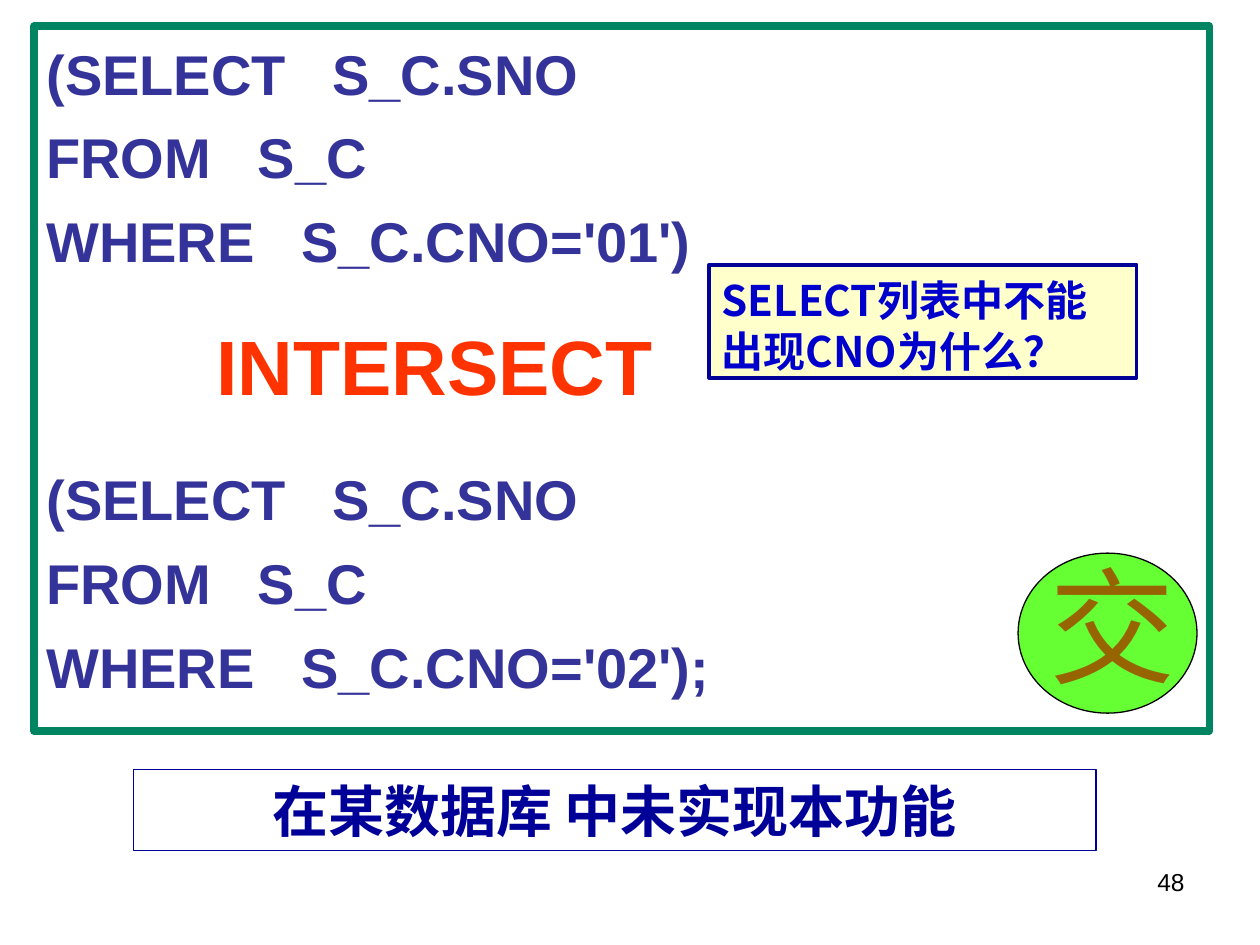
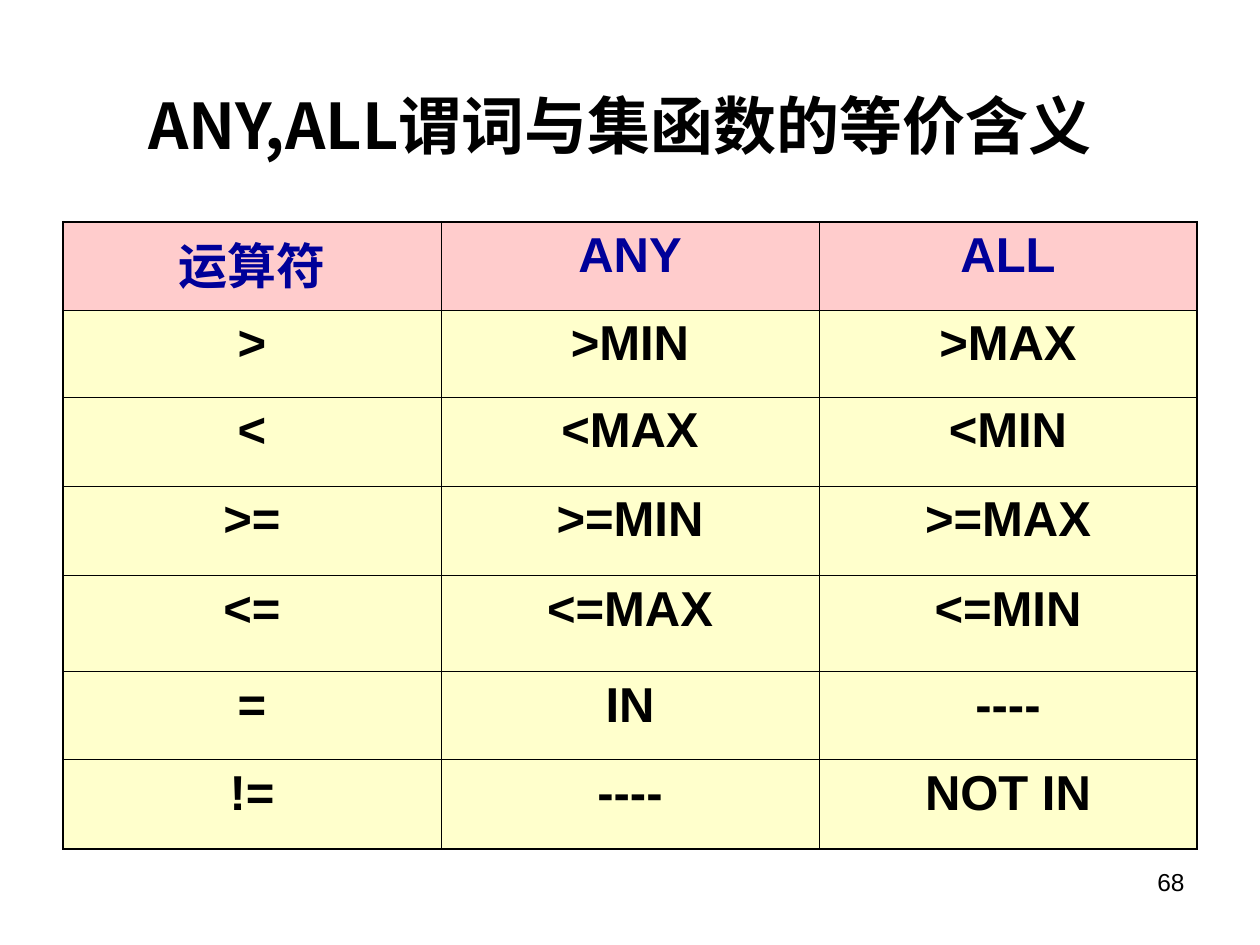
from dataclasses import dataclass
from typing import Optional

from lxml import etree
from pptx import Presentation
from pptx.dml.color import RGBColor
from pptx.enum.shapes import MSO_SHAPE as Form
from pptx.enum.text import MSO_ANCHOR as Anchor, PP_ALIGN as Align
from pptx.oxml.ns import qn
from pptx.util import Inches, Pt

SANS, HAN, SERIF = "Arial", "Noto Sans CJK SC", "Times New Roman"
BLACK, NAVY, INDIGO, BLUE = "000000", "000099", "333399", "0000CC"
GREEN, LIME, RED, BROWN = "008461", "66FF33", "FF3300", "966400"
CREAM, PINK = "FFFFCC", "FFCCCC"
THIN, THICK = 0.45, 1.08


@dataclass(frozen=True)
class Style:
    size: float
    color: str
    font: str = SANS
    bold: bool = True


@dataclass(frozen=True)
class Line:
    text: str
    style: Style
    align: Align = Align.LEFT
    before: float = 0
    spacing: Optional[object] = None
    indent: float = 0


@dataclass(frozen=True)
class Box:
    left: float
    top: float
    width: float
    height: float
    form: Form = Form.RECTANGLE
    fill: Optional[str] = None
    edge: Optional[str] = None
    weight: float = 0.75
    pad: float = 0.05
    anchor: Anchor = Anchor.TOP


PAGE = Style(14, BLACK, bold=False)
TITLE = Style(36, BLACK, HAN)
CODE = Style(32, INDIGO)
WORD = Style(44, RED)
HEAD = Style(28, NAVY)
CELL = Style(28, BLACK)

QUERY = (
    Line("(SELECT   S_C.SNO", CODE),
    Line("FROM   S_C", CODE, before=9.5),
    Line("WHERE   S_C.CNO='01')", CODE, before=9.5),
    Line("INTERSECT", WORD, before=15, spacing=1.2, indent=1.35),
    Line("(SELECT   S_C.SNO", CODE, before=11.5, spacing=1.5),
    Line("FROM   S_C", CODE, before=9.5),
    Line("WHERE   S_C.CNO='02');", CODE, before=9.5),
)
ROWS = (
    ("运算符", "ANY", "ALL"),
    (">", ">MIN", ">MAX"),
    ("<", "<MAX", "<MIN"),
    (">=", ">=MIN", ">=MAX"),
    ("<=", "<=MAX", "<=MIN"),
    ("=", "IN", "----"),
    ("!=", "----", "NOT IN"),
)
HEIGHTS = (0.7, 0.69, 0.71, 0.71, 0.76, 0.7, 0.71)


def rgb(color: str) -> RGBColor:
    return RGBColor.from_string(color)


def write(frame, *lines: Line) -> None:
    for i, line in enumerate(lines):
        para = frame.add_paragraph() if i else frame.paragraphs[0]
        para.alignment = line.align
        para.space_before = Pt(line.before)
        if line.spacing:
            para.line_spacing = line.spacing
        if line.indent:
            para._p.get_or_add_pPr().set("marL", str(Inches(line.indent)))
        run = para.add_run()
        run.text = line.text
        font = run.font
        font.name, font.size = line.style.font, Pt(line.style.size)
        font.bold = line.style.bold
        font.color.rgb = rgb(line.style.color)
        etree.SubElement(run._r.get_or_add_rPr(), qn("a:ea"), typeface=HAN)


def draw(slide, box: Box, *lines: Line) -> None:
    place = map(Inches, (box.left, box.top, box.width, box.height))
    if box.fill or box.edge:
        shape = slide.shapes.add_shape(box.form, *place)
        shape.shadow.inherit = False
    else:
        shape = slide.shapes.add_textbox(*place)
    if box.fill:
        shape.fill.solid()
        shape.fill.fore_color.rgb = rgb(box.fill)
    else:
        shape.fill.background()
    if box.edge:
        shape.line.color.rgb = rgb(box.edge)
        shape.line.width = Pt(box.weight)
    frame = shape.text_frame
    frame.word_wrap = True
    frame.vertical_anchor = box.anchor
    frame.margin_top = frame.margin_bottom = Inches(box.pad)
    if lines:
        write(frame, *lines)


def border(cell, side: str, width: float) -> None:
    """Add one cell edge; side is L, R, T or B."""
    edge = etree.SubElement(cell._tc.get_or_add_tcPr(), qn(f"a:ln{side}"),
                            w=str(Pt(width)))
    fill = etree.SubElement(edge, qn("a:solidFill"))
    etree.SubElement(fill, qn("a:srgbClr"), val=BLACK)


def start(deck, number: int):
    """Add a blank slide with its page number."""
    slide = deck.slides.add_slide(deck.slide_layouts[6])
    draw(slide, Box(7.17, 6.83, 2.33, 0.52),
         Line(str(number), PAGE, Align.RIGHT))
    return slide


def query(deck) -> None:
    slide = start(deck, 48)
    draw(slide, Box(0.27, 0.21, 9.33, 5.59, edge=GREEN, weight=4.5, pad=0.1),
         *QUERY)
    draw(slide, Box(8.08, 4.39, 1.42, 1.27, Form.OVAL, LIME, BLACK))
    draw(slide, Box(8.23, 4.3, 1.2, 1.3, pad=0, anchor=Anchor.MIDDLE),
         Line("交", Style(72, BROWN, SERIF, False)))
    draw(slide, Box(1.06, 6.11, 7.64, 0.64, edge=NAVY, pad=0,
                    anchor=Anchor.MIDDLE),
         Line("在某数据库 中未实现本功能", Style(32, NAVY, HAN), Align.CENTER))
    draw(slide, Box(5.63, 2.1, 3.39, 0.9, fill=CREAM, edge=NAVY, weight=2.25,
                    pad=0.08),
         Line("SELECT列表中不能出现CNO为什么？", Style(24, BLUE, HAN),
              spacing=Pt(28.8)))


def meaning(deck) -> None:
    slide = start(deck, 68)
    draw(slide, Box(0.35, 0.36, 9.14, 1.25, anchor=Anchor.MIDDLE),
         Line("ANY,ALL谓词与集函数的等价含义", TITLE, Align.CENTER))
    rows, cols = len(ROWS), len(ROWS[0])
    grid = slide.shapes.add_table(
        rows, cols, Inches(0.5), Inches(1.76), Inches(9),
        Inches(sum(HEIGHTS))).table
    grid.first_row = grid.horz_banding = False
    for r, (texts, height) in enumerate(zip(ROWS, HEIGHTS)):
        grid.rows[r].height = Inches(height)
        for c, text in enumerate(texts):
            cell = grid.cell(r, c)
            outer = {"L": c == 0, "R": c == cols - 1,
                     "T": r == 0, "B": r == rows - 1}
            for side, rim in outer.items():
                border(cell, side, THICK if rim else THIN)
            cell.fill.solid()
            cell.fill.fore_color.rgb = rgb(CREAM if r else PINK)
            write(cell.text_frame,
                  Line(text, CELL if r else HEAD, Align.CENTER))


def main() -> None:
    deck = Presentation()
    deck.slide_width, deck.slide_height = Inches(10), Inches(7.5)
    query(deck)
    meaning(deck)
    deck.save("out.pptx")


if __name__ == "__main__":
    main()
